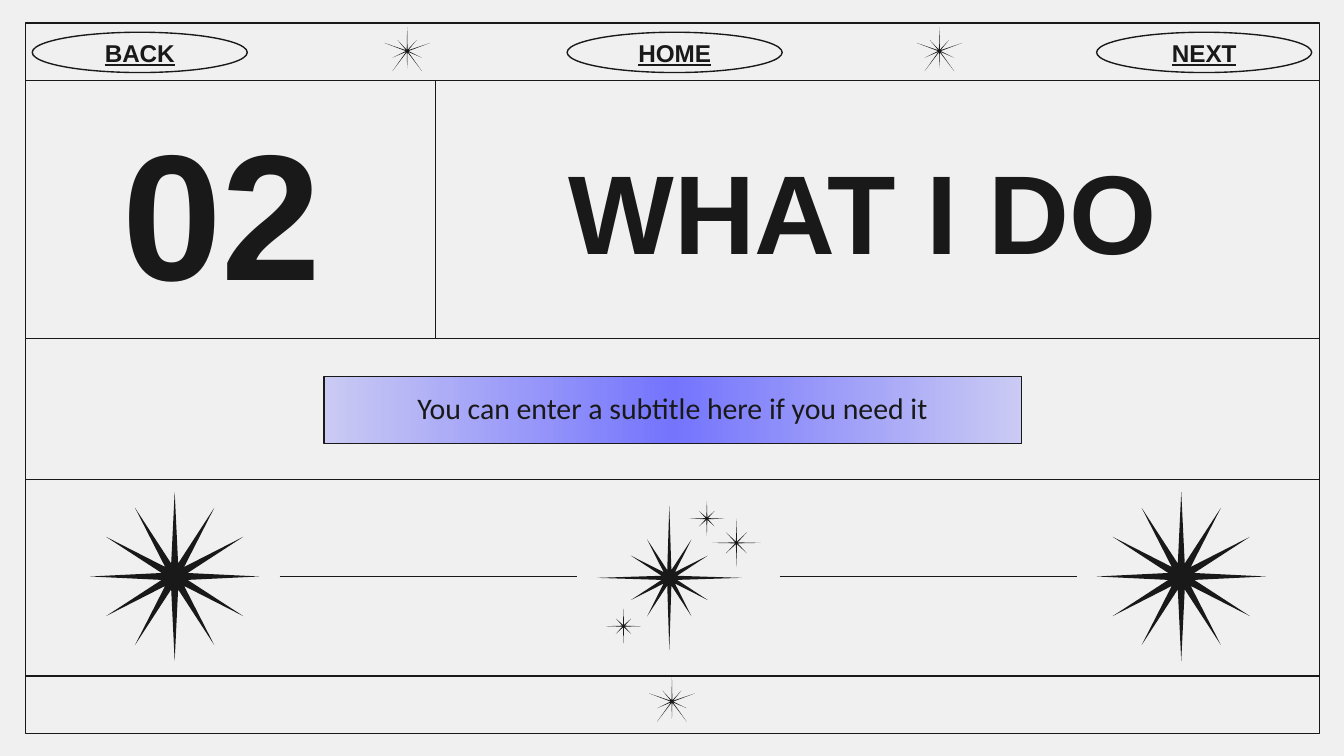
from math import atan2, cos, hypot, pi, sin

from pptx import Presentation
from pptx.dml.color import RGBColor
from pptx.enum.shapes import MSO_CONNECTOR as Connector, MSO_SHAPE as Preset
from pptx.enum.text import MSO_ANCHOR as Anchor, MSO_AUTO_SIZE as AutoSize, PP_ALIGN as Align
from pptx.oxml import parse_xml
from pptx.oxml.ns import nsdecls, qn
from pptx.util import Inches, Pt

INK, PAPER, VIOLET = "191919", "F0F0F0", "7575FF"
WIDTH = 10
HEIGHT = WIDTH * 9 / 16
LEFT, RIGHT, DIVIDER = 0.19, 9.82, 3.24
TOP, NAV_END, TITLE_END, SUBTITLE_END, ART_END, BOTTOM = 0.17, 0.6, 2.52, 3.57, 5.03, 5.46
ART_MIDDLE = (SUBTITLE_END + ART_END) / 2 - 0.01
NAV_BUTTONS = {"BACK": 0.24, "HOME": 4.22, "NEXT": 8.16}
SPARK_HALF = [(0, -0.18), (0.07, -0.08), (0.17, -0.06), (0.11, 0.05), (0.11, 0.15)]
SPARK_TIPS = SPARK_HALF + [(0, 0.13)] + [(-x, y) for x, y in SPARK_HALF[:0:-1]]


def color(value):
    return RGBColor.from_string(value)


def box(left, top, width, height):
    return [Inches(length) for length in (left, top, width, height)]


def outline(shape):
    shape.line.color.rgb = color(INK)
    shape.line.width = Pt(0.75)


def write(shape, text, size, font="Arial", bold=True, underline=None, anchor=Anchor.MIDDLE):
    frame = shape.text_frame
    frame.word_wrap = True
    frame.auto_size = AutoSize.NONE
    frame.vertical_anchor = anchor
    frame.margin_left = frame.margin_right = Inches(0.1)
    frame.margin_top = frame.margin_bottom = Inches(0.1)
    paragraph = frame.paragraphs[0]
    paragraph.text = text
    paragraph.alignment = Align.CENTER
    paragraph.font.name = font
    paragraph.font.size = Pt(size)
    paragraph.font.bold = bold
    paragraph.font.underline = underline
    paragraph.font.color.rgb = color(INK)


def add_outlined(slide, preset, *place):
    shape = slide.shapes.add_shape(preset, *box(*place))
    shape.shadow.inherit = False
    shape.fill.background()
    outline(shape)
    return shape


def add_rule(slide, *ends):
    rule = slide.shapes.add_connector(Connector.STRAIGHT, *box(*ends))
    outline(rule)
    rule._element.spPr.append(parse_xml(f"<a:effectLst {nsdecls('a')}/>"))


def ray_tips(count, axis, other):
    tips = []
    for index in range(count):
        radius = other if index % (count // 4) else axis
        angle = 2 * pi * index / count
        tips.append((radius * sin(angle), -radius * cos(angle)))
    return tips


def add_star(slide, center_x, center_y, tips, inner):
    points = []
    for (x, y), (next_x, next_y) in zip(tips, tips[1:] + tips[:1]):
        valley_x = x / hypot(x, y) + next_x / hypot(next_x, next_y)
        valley_y = y / hypot(x, y) + next_y / hypot(next_x, next_y)
        angle = atan2(valley_y, valley_x)
        points += [(x, y), (inner * cos(angle), inner * sin(angle))]
    points = [(Inches(center_x + x), Inches(center_y + y)) for x, y in points]
    builder = slide.shapes.build_freeform(*points[0])
    builder.add_line_segments(points[1:], close=True)
    star = builder.convert_to_shape()
    star.shadow.inherit = False
    star.fill.solid()
    star.fill.fore_color.rgb = color(INK)
    star.line.fill.background()


def fill_with_glow(shape):
    stops = "".join(
        f'<a:gs pos="{share * 1000}"><a:srgbClr val="{VIOLET}">'
        f'<a:alpha val="{alpha * 1000}"/></a:srgbClr></a:gs>'
        for share, alpha in ((0, 29), (50, 100), (100, 29))
    )
    properties = shape._element.spPr
    properties.remove(properties.find(qn("a:noFill")))
    properties.find(qn("a:prstGeom")).addnext(parse_xml(
        f"<a:gradFill {nsdecls('a')}><a:gsLst>{stops}</a:gsLst>"
        '<a:lin ang="10800000" scaled="0"/></a:gradFill>'
    ))


def add_frame(slide):
    add_outlined(slide, Preset.RECTANGLE, LEFT, TOP, RIGHT - LEFT, BOTTOM - TOP)
    for row in (NAV_END, TITLE_END, SUBTITLE_END, ART_END):
        add_rule(slide, LEFT, row, RIGHT, row)
    add_rule(slide, DIVIDER, NAV_END, DIVIDER, TITLE_END)


def add_navigation(slide):
    for label, left in NAV_BUTTONS.items():
        button = add_outlined(slide, Preset.OVAL, left, 0.24, 1.6, 0.3)
        write(button, label, 13, underline=True)
    for x, y in ((3.03, 0.38), (6.99, 0.38), (WIDTH / 2, 5.22)):
        add_star(slide, x, y, SPARK_TIPS, 0.01)


def add_heading(slide):
    title = slide.shapes.title
    title.left, title.top, title.width, title.height = box(3.47, 0.83, 5.9, 1.46)
    write(title, "WHAT I DO", 60)
    write(slide.shapes.add_textbox(*box(0.62, 0.83, 2.06, 1.45)), "02", 96)
    subtitle = add_outlined(slide, Preset.RECTANGLE, 2.41, 2.8, 5.19, 0.5)
    fill_with_glow(subtitle)
    write(subtitle, "You can enter a subtitle here if you need it", 16,
          font="Calibri", bold=False, anchor=Anchor.TOP)


def add_star_band(slide):
    for x in (1.3, 8.79):
        add_star(slide, x, ART_MIDDLE, ray_tips(12, 0.63, 0.59), 0.1)
    add_star(slide, 4.98, 4.3, ray_tips(12, 0.54, 0.33), 0.06)
    add_star(slide, 5.48, 4.04, ray_tips(8, 0.18, 0.11), 0.01)
    for x, y in ((5.26, 3.86), (4.64, 4.66)):
        add_star(slide, x, y, ray_tips(8, 0.13, 0.08), 0.01)
    for start in (2.08, 5.8):
        add_rule(slide, start, ART_MIDDLE, start + 2.21, ART_MIDDLE)


def main():
    presentation = Presentation()
    presentation.slide_width, presentation.slide_height = Inches(WIDTH), Inches(HEIGHT)
    slide = presentation.slides.add_slide(presentation.slide_layouts[5])
    slide.background.fill.solid()
    slide.background.fill.fore_color.rgb = color(PAPER)
    add_frame(slide)
    add_navigation(slide)
    add_heading(slide)
    add_star_band(slide)
    presentation.save("out.pptx")


if __name__ == "__main__":
    main()
